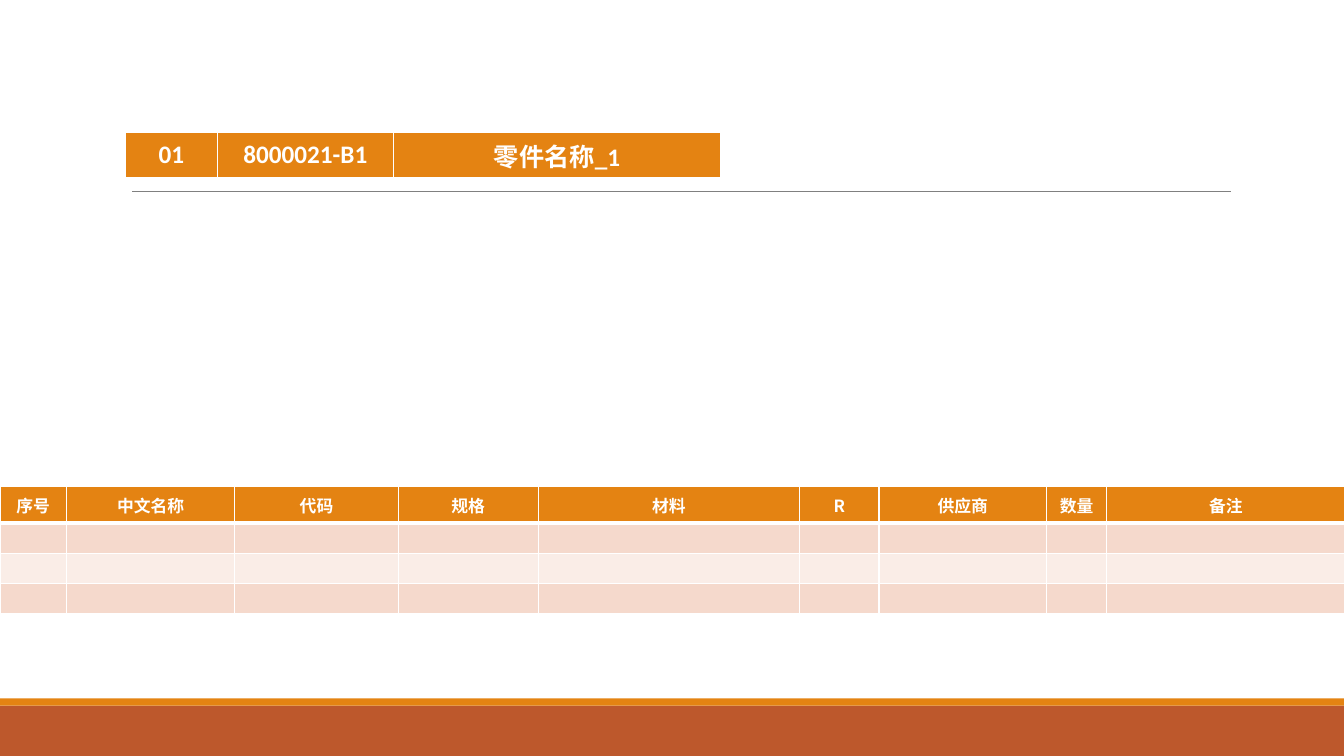
from dataclasses import dataclass

from pptx import Presentation
from pptx.dml.color import RGBColor
from pptx.enum.shapes import MSO_CONNECTOR, MSO_SHAPE
from pptx.enum.text import MSO_ANCHOR, PP_ALIGN
from pptx.oxml import parse_xml
from pptx.oxml.ns import nsdecls, qn
from pptx.util import Inches, Pt
from lxml.etree import SubElement


@dataclass(frozen=True)
class Theme:
    orange: str = "E48312"
    rust: str = "BD582C"
    band_dark: str = "F5D9CC"
    band_light: str = "FAEDE7"
    white: str = "FFFFFF"
    rule: str = "808080"
    latin: str = "Calibri"
    chinese: str = "Noto Sans CJK SC"
    part_size: int = 18
    header_size: int = 12
    body_size: int = 10


THEME = Theme()


def color(value):
    return RGBColor.from_string(value)


def write_text(tf, text, *, size, font, bold=True, fill=THEME.white):
    p = tf.paragraphs[0]
    p.alignment = PP_ALIGN.CENTER
    if not text:
        SubElement(p._p, qn("a:endParaRPr"), sz=str(size * 100))
        return
    r = p.add_run()
    r.text = text
    r.font.size = Pt(size)
    r.font.name = font
    r.font.bold = bold
    r.font.color.rgb = color(fill)
    SubElement(r.font._element, qn("a:ea"), typeface=THEME.chinese)


def set_borders(cell, widths):
    tc_pr = cell._tc.get_or_add_tcPr()
    for index, (side, width) in enumerate(zip("LRTB", widths)):
        line = parse_xml(
            f'<a:ln{side} {nsdecls("a")} w="{Pt(width)}"><a:solidFill>'
            f'<a:srgbClr val="{THEME.white}"/></a:solidFill></a:ln{side}>'
        )
        tc_pr.insert(index, line)


def add_bar(s, top, height, fill):
    sp = s.shapes.add_shape(
        MSO_SHAPE.RECTANGLE, 0, Inches(top), Inches(13.33), Inches(height)
    )
    sp.shadow.inherit = False
    sp.fill.solid()
    sp.fill.fore_color.rgb = color(fill)
    sp.line.fill.background()


def add_rule(s, left, right, top):
    line = s.shapes.add_connector(
        MSO_CONNECTOR.STRAIGHT, Inches(left), Inches(top), Inches(right), Inches(top)
    )
    line.line.color.rgb = color(THEME.rule)
    line.line.width = Pt(0.5)
    SubElement(line._element.spPr, qn("a:effectLst"))


def add_grid(s, left, top, cols, heights, rows, fills, sizes, font, margins):
    frame = s.shapes.add_table(
        len(rows), len(cols), Inches(left), Inches(top),
        Inches(sum(cols)), Inches(sum(heights)),
    )
    table = frame.table
    for column, width in zip(table.columns, cols):
        column.width = Inches(width)
    for i, (row, height) in enumerate(zip(table.rows, heights)):
        row.height = Inches(height)
        for cell, text in zip(row.cells, rows[i]):
            cell.vertical_anchor = MSO_ANCHOR.MIDDLE
            (cell.margin_left, cell.margin_top,
             cell.margin_right, cell.margin_bottom) = map(Inches, margins)
            cell.fill.solid()
            cell.fill.fore_color.rgb = color(fills[i])
            set_borders(cell, (1, 1, 3 if i == 1 else 1, 3 if i == 0 else 1))
            write_text(cell.text_frame, text, size=sizes[i], font=font)


def main():
    prs = Presentation()
    prs.slide_width = Inches(13.33)
    prs.slide_height = Inches(7.5)
    s = prs.slides.add_slide(prs.slide_layouts[6])

    add_bar(s, 7, 0.5, THEME.rust)
    add_bar(s, 6.93, 0.07, THEME.orange)
    add_rule(s, 1.31, 12.21, 1.9)

    add_grid(
        s, 1.24, 1.31, [0.92, 1.74, 3.25], [0.45],
        [["01", "8000021-B1", "零件名称_1"]],
        [THEME.orange], [THEME.part_size], THEME.latin, (0.1, 0.05, 0.1, 0.05),
    )

    headers = ["序号", "中文名称", "代码", "规格", "材料", "R", "供应商", "数量", "备注"]
    empty = [""] * len(headers)
    add_grid(
        s, 0, 4.83, [0.66, 1.67, 1.62, 1.39, 2.59, 0.79, 1.66, 0.6, 2.36],
        [0.36, 0.3, 0.3, 0.3], [headers, empty, empty, empty],
        [THEME.orange, THEME.band_dark, THEME.band_light, THEME.band_dark],
        [THEME.header_size] + [THEME.body_size] * 3,
        THEME.chinese, (0.01, 0.01, 0.01, 0),
    )
    prs.save("out.pptx")


if __name__ == "__main__":
    main()
